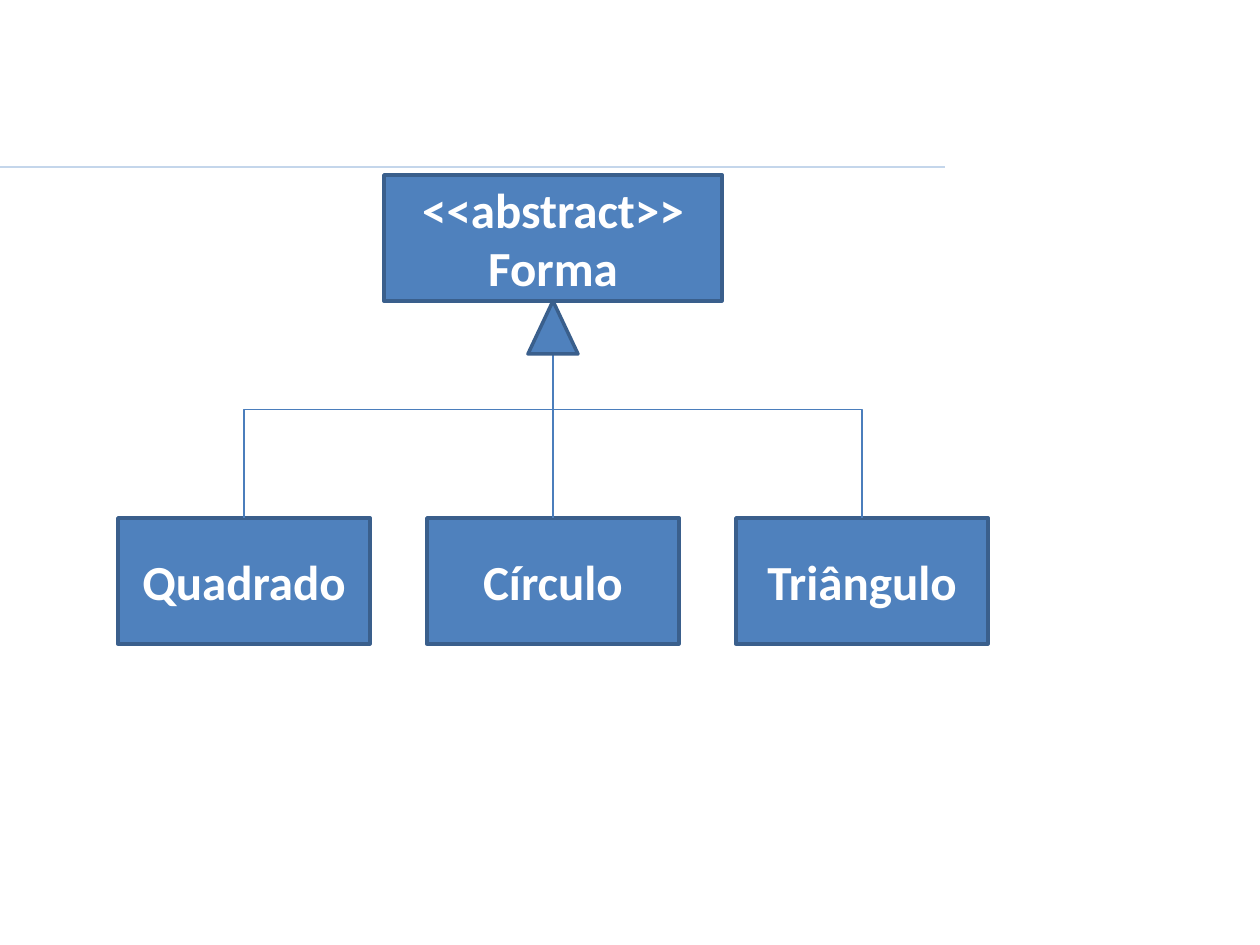
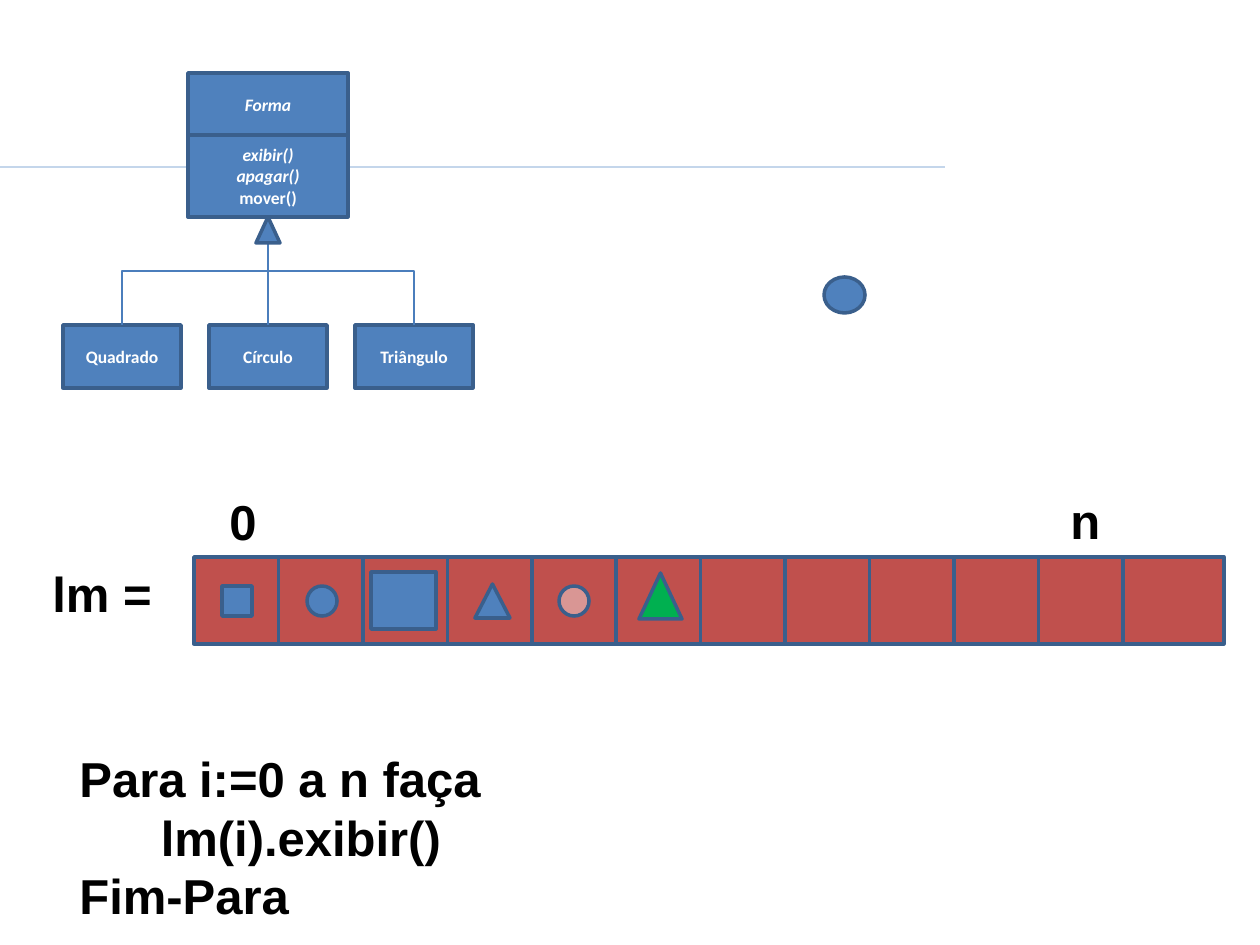
from dataclasses import dataclass

from pptx import Presentation, util as u
from pptx.dml.color import RGBColor
from pptx.enum import shapes, text
from pptx.oxml.ns import qn

KINDS = ("Quadrado", "Círculo", "Triângulo")
HIERARCHIES = (
    dict(
        parents=((("<<abstract>>", "Forma"), 0, (384, 175, 338, 126)),),
        first_child=(118, 518, 252, 126), pitch=309, arrow=(50, 53), size=28,
    ),
    dict(
        parents=(
            (("Forma",), 1, (188, 73, 160, 63)),
            (("exibir()", "apagar()", "mover()"), 2, (188, 135, 160, 82)),
        ),
        first_child=(63, 325, 118, 63), pitch=146, arrow=(24, 26), size=10,
    ),
)
ARRAY = dict(count=12, left=194, right=1224, top=557, width=101, height=87)
FIGURES = (
    ("RECTANGLE", "blue", (222, 586, 30, 30)),
    ("OVAL", "blue", (307, 586, 30, 30)),
    ("ISOSCELES_TRIANGLE", "blue", (475, 584, 35, 34)),
    ("RECTANGLE", "blue", (371, 572, 65, 57)),
    ("ISOSCELES_TRIANGLE", "green", (639, 573, 43, 46)),
    ("OVAL", "pink", (559, 586, 30, 30)),
    ("OVAL", "blue", (824, 277, 41, 36)),
)
LABELS = (
    (("0",), False, (217, 485, 53, 72)),
    (("n",), False, (1058, 484, 55, 72)),
    (("Para i:=0 a n faça", "      lm(i).exibir()", "Fim-Para"), False, (67, 742, 432, 190)),
    (("lm =",), True, (40, 557, 149, 72)),
)


@dataclass(frozen=True)
class Theme:
    """Colours, fonts, type sizes and line widths."""

    blue: str = "4F81BD"
    red: str = "C0504D"
    green: str = "00B050"
    pink: str = "D99694"
    outline: str = "3A5F8C"
    link: str = "4B7EBC"
    rule: str = "C4D6EB"
    white: str = "FFFFFF"
    black: str = "000000"
    box_font: str = "Calibri"
    label_font: str = "Arial"
    label_size: int = 28
    outline_width: float = 2
    link_width: float = 0.75


THEME = Theme()


def px(value):
    """Turn pixels into EMU."""
    return u.Emu(round(value * 914400 / 126))


def write(shape, lines, *, font, size, color, align=None, italics=0, wrap=True):
    """Fill a shape with bold lines, the first few of them italic."""
    frame = shape.text_frame
    frame.word_wrap = wrap
    frame.text = "\n".join(lines)
    for index, paragraph in enumerate(frame.paragraphs):
        paragraph.alignment = align
        run_font = paragraph.runs[0].font
        run_font.name, run_font.size = font, u.Pt(size)
        run_font.bold, run_font.italic = True, index < italics
        run_font.color.rgb = RGBColor.from_string(color)


def add_figure(slide, kind, color, box):
    """Add an outlined preset shape."""
    shape = slide.shapes.add_shape(shapes.MSO_SHAPE[kind], *map(px, box))
    shape.shadow.inherit = False
    shape.fill.solid()
    shape.fill.fore_color.rgb = RGBColor.from_string(color)
    shape.line.color.rgb = RGBColor.from_string(THEME.outline)
    shape.line.width = u.Pt(THEME.outline_width)
    return shape


def add_class(slide, lines, box, size, italics=0):
    """Add a class box with centred text."""
    shape = add_figure(slide, "RECTANGLE", THEME.blue, box)
    shape.text_frame.vertical_anchor = text.MSO_ANCHOR.MIDDLE
    write(shape, lines, font=THEME.box_font, size=size, color=THEME.white,
          align=text.PP_ALIGN.CENTER, italics=italics)
    return shape


def add_link(slide, kind, color, ends=(0, 0, 0, 0)):
    """Add a thin connector without a shadow."""
    connector = slide.shapes.add_connector(shapes.MSO_CONNECTOR[kind], *map(px, ends))
    properties = connector._element.spPr
    connector.line.color.rgb = RGBColor.from_string(color)
    connector.line.width = u.Pt(THEME.link_width)
    properties.append(properties.makeelement(qn("a:effectLst"), {}))
    return connector


def join(slide, child, parent):
    """Join a child's top to its parent's bottom, with a bend if they are not aligned."""
    child_x, parent_x = (box.left + box.width // 2 for box in (child, parent))
    bottom = parent.top + parent.height
    run, rise = parent_x - child_x, child.top - bottom
    bent = abs(run) > px(1)
    connector = add_link(slide, "ELBOW" if bent else "STRAIGHT", THEME.link)
    connector.begin_connect(child, 0)
    connector.end_connect(parent, 2)
    if bent:
        middle_x, middle_y = (child_x + parent_x) // 2, (child.top + bottom) // 2
        connector.begin_x, connector.end_x = middle_x - rise // 2, middle_x + rise // 2
        connector.begin_y, connector.end_y = middle_y - run // 2, middle_y + run // 2
        transform = connector._element.spPr.find(qn("a:xfrm"))
        transform.set("rot", str(270 * 60000))


def add_hierarchy(slide, parents, first_child, pitch, arrow, size):
    """Draw the parent class, its children and the inheritance arrow."""
    left, top, width, height = first_child
    children = [add_class(slide, (kind,), (left + index * pitch, top, width, height), size)
                for index, kind in enumerate(KINDS)]
    for lines, italics, box in parents:
        parent = add_class(slide, lines, box, size, italics)
    for child in children:
        join(slide, child, parent)
    parent_left, parent_top, parent_width, parent_height = box
    arrow_left = parent_left + (parent_width - arrow[0]) / 2
    add_figure(slide, "ISOSCELES_TRIANGLE", THEME.blue,
               (arrow_left, parent_top + parent_height, *arrow))


def add_array(slide, count, left, right, top, width, height):
    """Draw the row of overlapping array cells."""
    pitch = (right - left - width) / (count - 1)
    for index in range(count):
        add_figure(slide, "RECTANGLE", THEME.red, (left + index * pitch, top, width, height))


def add_label(slide, lines, wrap, box):
    """Add a plain label."""
    label = slide.shapes.add_textbox(*map(px, box))
    write(label, lines, font=THEME.label_font, size=THEME.label_size,
          color=THEME.black, wrap=wrap)
    label.text_frame.auto_size = text.MSO_AUTO_SIZE.SHAPE_TO_FIT_TEXT


def main():
    """Build both slides and save them."""
    presentation = Presentation()
    presentation.slide_width, presentation.slide_height = px(1260), px(945)
    for hierarchy in HIERARCHIES:
        slide = presentation.slides.add_slide(presentation.slide_layouts[6])
        add_link(slide, "STRAIGHT", THEME.rule, (0, 167, 945, 167))
        add_hierarchy(slide, **hierarchy)
    add_array(slide, **ARRAY)
    for kind, color, box in FIGURES:
        add_figure(slide, kind, getattr(THEME, color), box)
    for label in LABELS:
        add_label(slide, *label)
    presentation.save("out.pptx")


if __name__ == "__main__":
    main()
